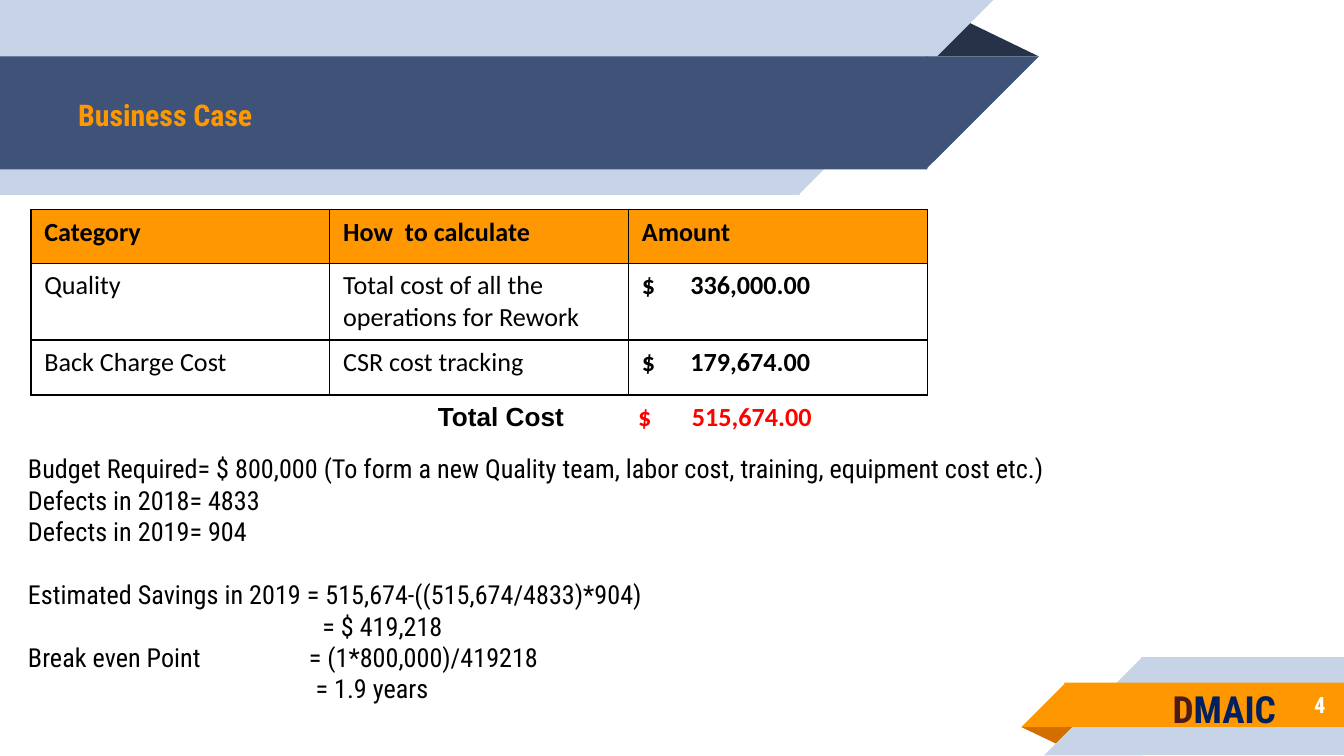
from typing import NamedTuple

from lxml.etree import SubElement
from pptx import Presentation
from pptx.dml.color import RGBColor
from pptx.enum.shapes import MSO_SHAPE
from pptx.enum.text import MSO_ANCHOR, PP_ALIGN
from pptx.oxml.ns import qn
from pptx.util import Inches, Pt

ORANGE = RGBColor(0xFF, 0x98, 0x00)
DARK_ORANGE = RGBColor(0xD2, 0x6F, 0x00)
PALE_BLUE = RGBColor(0xC7, 0xD3, 0xE6)
BLUE = RGBColor(0x3F, 0x53, 0x78)
DARK_BLUE = RGBColor(0x26, 0x32, 0x48)
NAVY = RGBColor(0x00, 0x20, 0x60)
MAROON = RGBColor(0x4B, 0x1A, 0x1A)
RED = RGBColor(0xFF, 0x00, 0x00)
BLACK = RGBColor(0x00, 0x00, 0x00)
WHITE = RGBColor(0xFF, 0xFF, 0xFF)
CONDENSED = "Roboto Condensed"


class Piece(NamedTuple):
    kind: MSO_SHAPE
    left: float
    top: float
    width: float
    height: float
    color: RGBColor
    rotation: int = 0
    flipped: bool = True


class Span(NamedTuple):
    text: str
    color: RGBColor = BLACK
    font: str = CONDENSED


class Line(NamedTuple):
    spans: list[Span]
    tabs: tuple[float, ...] = ()
    space_before: int = 0


TRIANGLE, BAR, SLANT = MSO_SHAPE.ISOSCELES_TRIANGLE, MSO_SHAPE.RECTANGLE, MSO_SHAPE.RIGHT_TRIANGLE

# Bars overlap their slanted ends slightly so that no seam shows
HEADER_RIBBON = [
    Piece(TRIANGLE, 6.88, 0.14, 0.85, 0.28, DARK_BLUE, flipped=False),
    Piece(BAR, 0, 0, 5.95, 1.45, PALE_BLUE, 180),
    Piece(SLANT, 5.94, 0, 1.45, 1.45, PALE_BLUE, 180),
    Piece(BAR, 0, 0.42, 6.9, 0.84, BLUE, 180),
    Piece(SLANT, 6.89, 0.42, 0.84, 0.84, BLUE, 180),
]
FOOTER_RIBBON = [
    Piece(TRIANGLE, 7.6, 5.41, 0.43, 0.14, DARK_ORANGE, 180, False),
    Piece(BAR, 8.49, 4.89, 1.51, 0.73, PALE_BLUE),
    Piece(SLANT, 7.77, 4.89, 0.73, 0.73, PALE_BLUE),
    Piece(BAR, 7.92, 5.08, 2.08, 0.33, ORANGE),
    Piece(SLANT, 7.6, 5.08, 0.33, 0.33, ORANGE),
]

COSTS = [
    ("Category", "How  to calculate", "Amount"),
    ("Quality", "Total cost of all the operations for Rework", "$\t336,000.00"),
    ("Back Charge Cost", "CSR cost tracking", "$\t179,674.00"),
]
ROW_HEIGHTS = (0.4, 0.57, 0.41)
TABLE_WIDTH = 6.67
AMOUNT_TAB = (0.36,)

CALCULATION = [
    Line([Span("Budget Required= $ 800,000 (To form a new Quality team, "
               "labor cost, training, equipment cost etc.)")]),
    Line([Span("Defects in 2018= 4833")]),
    Line([Span("Defects in 2019= 904")]),
    Line([Span("Estimated Savings in 2019 = 515,674-((515,674/4833)*904)")], space_before=17),
    Line([Span("\t= $ 419,218")], (2.19,)),
    Line([Span("Break even Point\t= (1*800,000)/419218")], (2.09,)),
    Line([Span("\t= 1.9 years")], (2.14,)),
]


def draw_ribbon(page, pieces: list[Piece]) -> None:
    ribbon = page.shapes.add_group_shape()
    for piece in pieces:
        shape = ribbon.shapes.add_shape(
            piece.kind, Inches(piece.left), Inches(piece.top),
            Inches(piece.width), Inches(piece.height))
        shape.shadow.inherit = False
        shape.fill.solid()
        shape.fill.fore_color.rgb = piece.color
        shape.line.fill.background()
        shape.rotation = piece.rotation
        if piece.kind == TRIANGLE:
            shape.adjustments[0] = 0.32
        if piece.flipped:
            shape._element.spPr.find(qn("a:xfrm")).set("flipH", "1")


def fill_paragraph(para, line: Line, size: int, bold: bool) -> None:
    if line.space_before:
        para.space_before = Pt(line.space_before)
    if line.tabs:
        stops = SubElement(para._p.get_or_add_pPr(), qn("a:tabLst"))
        for position in line.tabs:
            SubElement(stops, qn("a:tab"), pos=str(Inches(position)), algn="l")
    para.font.size = Pt(size)
    para.font.bold = bold
    fonts = {span.font for span in line.spans}
    colors = {span.color for span in line.spans}
    if len(fonts) == 1:
        para.font.name = line.spans[0].font
    if len(colors) == 1:
        para.font.color.rgb = line.spans[0].color
    for span in line.spans:
        run = para.add_run()
        run.text = span.text
        if len(fonts) > 1:
            run.font.name = span.font
        if len(colors) > 1:
            run.font.color.rgb = span.color


def add_text(page, left: float, top: float, width: float, height: float,
             lines: list[Line], size: int, bold: bool = True,
             align: PP_ALIGN = PP_ALIGN.LEFT, anchor: MSO_ANCHOR = MSO_ANCHOR.TOP) -> None:
    box = page.shapes.add_textbox(Inches(left), Inches(top), Inches(width), Inches(height))
    frame = box.text_frame
    frame.word_wrap = True
    frame.vertical_anchor = anchor
    for index, line in enumerate(lines):
        para = frame.add_paragraph() if index else frame.paragraphs[0]
        para.alignment = align
        fill_paragraph(para, line, size, bold)


def add_borders(cell) -> None:
    properties = cell._tc.get_or_add_tcPr()
    for index, side in enumerate(("lnL", "lnR", "lnT", "lnB")):
        border = properties.makeelement(qn(f"a:{side}"), {"w": str(Pt(0.75))})
        fill = SubElement(border, qn("a:solidFill"))
        SubElement(fill, qn("a:srgbClr"), val=str(BLACK))
        properties.insert(index, border)


def add_cost_table(page) -> None:
    columns = len(COSTS[0])
    table = page.shapes.add_table(
        len(COSTS), columns, Inches(0.23), Inches(1.56),
        Inches(TABLE_WIDTH), Inches(sum(ROW_HEIGHTS))).table
    table.first_row = table.horz_banding = False
    for column in table.columns:
        column.width = Inches(TABLE_WIDTH / columns)
    for row, (height, texts) in enumerate(zip(ROW_HEIGHTS, COSTS)):
        table.rows[row].height = Inches(height)
        for column, text in enumerate(texts):
            cell = table.cell(row, column)
            if row == 0:
                cell.fill.solid()
                cell.fill.fore_color.rgb = ORANGE
            else:
                cell.fill.background()
            add_borders(cell)
            line = Line([Span(text, font="Calibri")], AMOUNT_TAB if "\t" in text else ())
            fill_paragraph(cell.text_frame.paragraphs[0], line, 14,
                           row == 0 or column == columns - 1)


def main() -> None:
    # Widescreen page, 16 to 9
    deck = Presentation()
    deck.slide_width = Inches(10)
    deck.slide_height = deck.slide_width * 9 // 16
    page = deck.slides.add_slide(deck.slide_layouts[6])

    # Ribbons, title and page number
    draw_ribbon(page, HEADER_RIBBON)
    draw_ribbon(page, FOOTER_RIBBON)
    add_text(page, 0.23, 0.43, 2, 0.84, [Line([Span("Business Case", ORANGE)])], 16,
             align=PP_ALIGN.CENTER, anchor=MSO_ANCHOR.MIDDLE)
    add_text(page, 8.33, 5.07, 1.63, 0.35, [Line([Span("4", WHITE)])], 12,
             align=PP_ALIGN.RIGHT, anchor=MSO_ANCHOR.MIDDLE)

    # Calculation, cost table and total
    add_text(page, 0.11, 3.32, 7.91, 1.99, CALCULATION, 14, bold=False)
    add_cost_table(page)
    total = Line([Span("Total Cost", font="Arial"),
                  Span("\t$\t515,674.00", RED, "Calibri")], (1.49, 1.89))
    add_text(page, 3.16, 2.93, 3.05, 0.34, [total], 14)

    # Method name in the footer
    add_text(page, 8.26, 5.07, 1.7, 0.4, [Line([Span("D", MAROON), Span("MAIC", NAVY)])], 20,
             align=PP_ALIGN.CENTER, anchor=MSO_ANCHOR.MIDDLE)

    deck.save("out.pptx")


if __name__ == "__main__":
    main()
